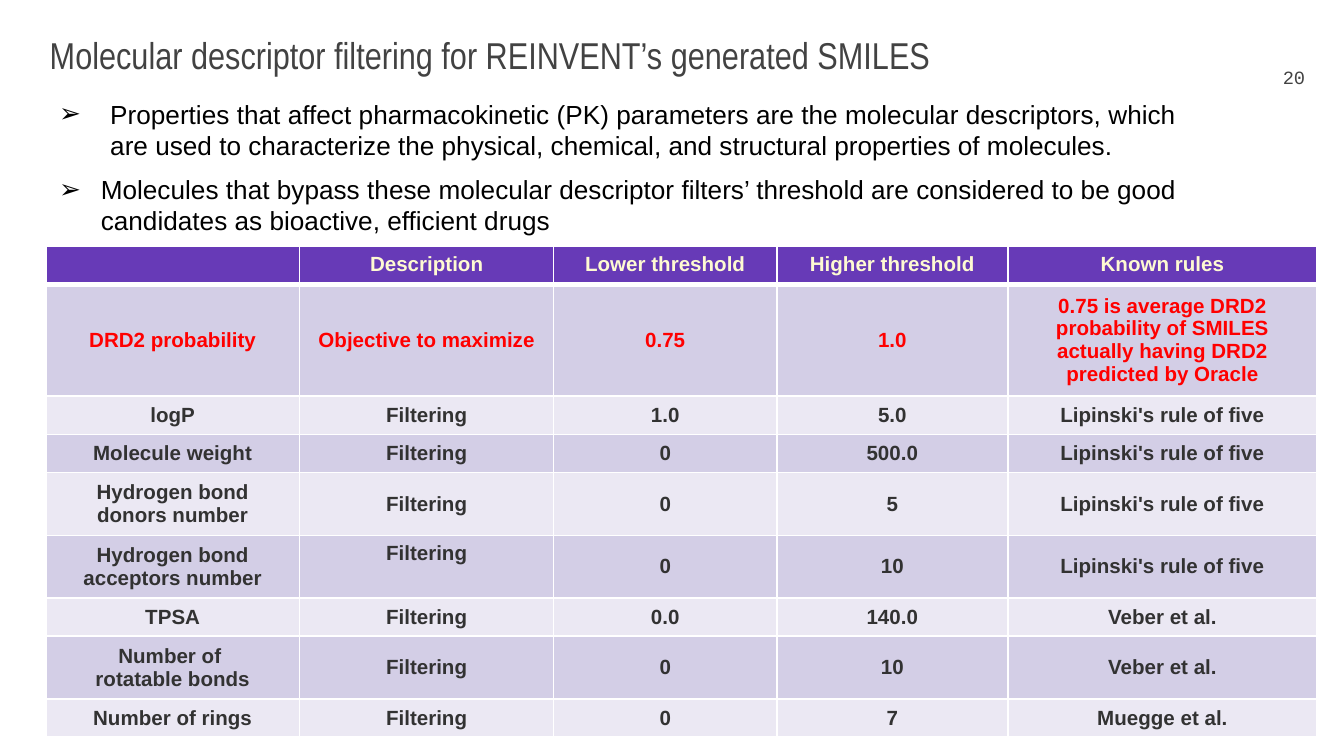
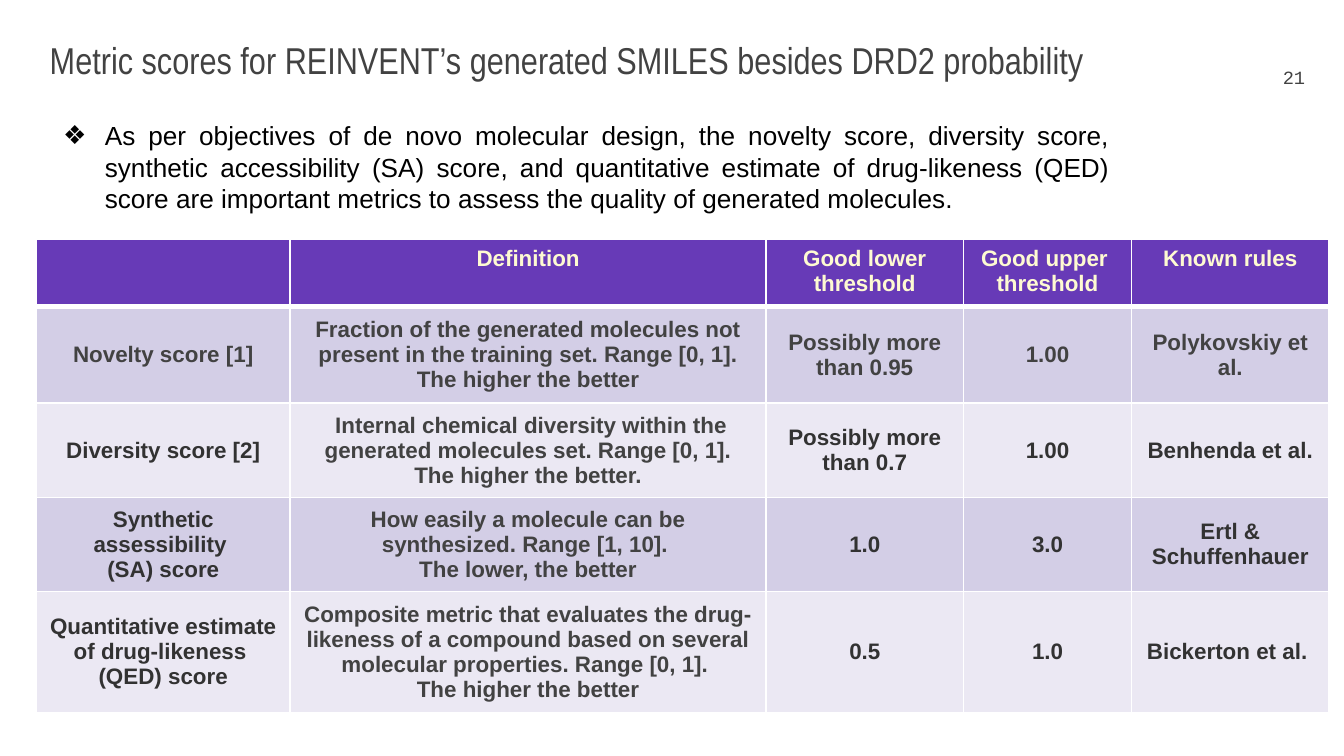
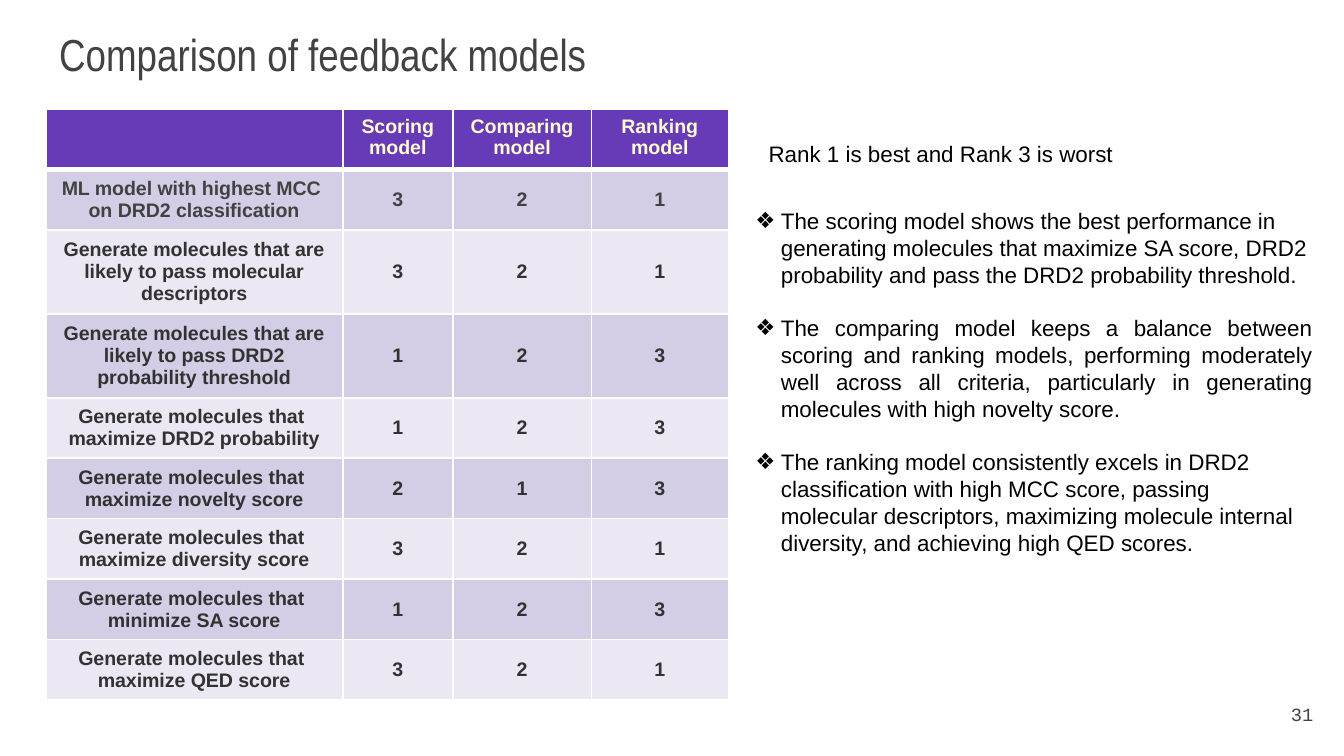
from lxml.etree import SubElement
from pptx import Presentation
from pptx.dml.color import RGBColor
from pptx.enum.text import MSO_ANCHOR, MSO_AUTO_SIZE, PP_ALIGN
from pptx.oxml.ns import qn
from pptx.util import Inches, Pt

PURPLE = RGBColor(0x67, 0x3A, 0xB7)
LAVENDER = RGBColor(0xD3, 0xCE, 0xE6)
PALE_LAVENDER = RGBColor(0xEB, 0xE8, 0xF3)
CREAM = RGBColor(0xFE, 0xFA, 0xD2)
WHITE = RGBColor(0xFF, 0xFF, 0xFF)
BLACK = RGBColor(0, 0, 0)
RED = RGBColor(0xFF, 0, 0)
GRAY = RGBColor(0x42, 0x42, 0x42)
DARK_GRAY = RGBColor(0x32, 0x32, 0x32)

BODY_FONT, TITLE_FONT, NUMBER_FONT = "Arial", "Arial Narrow", "Courier New"
TITLE_AND_CONTENT, TWO_CONTENT = 1, 3
ARROW, DIAMOND = "➢", "❖"


def place(shape, box):
    shape.left, shape.top, shape.width, shape.height = (Inches(n) for n in box)


def add_span(para, text, size, color, font=BODY_FONT, bold=False):
    span = para.add_run()
    span.text = text
    span.font.name = font
    span.font.size = Pt(size)
    span.font.bold = bold
    span.font.color.rgb = color


def set_frame(frame, anchor, margin_y, auto_size):
    frame.word_wrap = True
    frame.auto_size = auto_size
    frame.vertical_anchor = anchor
    frame.margin_left = frame.margin_right = Inches(0.1)
    frame.margin_top = frame.margin_bottom = Inches(margin_y)


def add_page(deck, layout, title, title_box, title_size, number, number_box):
    """Add a slide with its title and page number."""
    page = deck.slides.add_slide(deck.slide_layouts[layout])
    heading = page.shapes.title
    place(heading, title_box)
    set_frame(heading.text_frame, MSO_ANCHOR.BOTTOM, 0.1, MSO_AUTO_SIZE.NONE)
    para = heading.text_frame.paragraphs[0]
    para.alignment = PP_ALIGN.LEFT
    add_span(para, title, title_size, GRAY, TITLE_FONT)

    folio = page.shapes.add_textbox(*(Inches(n) for n in number_box))
    set_frame(folio.text_frame, MSO_ANCHOR.MIDDLE, 0.1, MSO_AUTO_SIZE.NONE)
    para = folio.text_frame.paragraphs[0]
    para.alignment = PP_ALIGN.RIGHT
    add_span(para, number, 10, GRAY, NUMBER_FONT)
    return page


def set_bullet(para, mark, indent):
    properties = para._p.get_or_add_pPr()
    properties.set("marL", str(Inches(indent)))
    properties.set("indent", str(-Inches(indent)))
    color = SubElement(properties, qn("a:buClr"))
    SubElement(color, qn("a:srgbClr"), val=str(BLACK))
    SubElement(properties, qn("a:buFont"), typeface=BODY_FONT)
    SubElement(properties, qn("a:buChar"), char=mark)


def fill_list(holder, box, mark, indent, size, items, gap=0):
    """Fill a body placeholder with (text, alignment) items."""
    place(holder, box)
    frame = holder.text_frame
    set_frame(frame, MSO_ANCHOR.TOP, 0.05, MSO_AUTO_SIZE.SHAPE_TO_FIT_TEXT)
    for index, (text, alignment) in enumerate(items):
        para = frame.add_paragraph() if index else frame.paragraphs[0]
        set_bullet(para, mark, indent)
        para.alignment = alignment
        para.space_before = Pt(gap if index else 0)
        add_span(para, text, size, BLACK)


def set_borders(cell, top, bottom):
    properties = cell._tc.get_or_add_tcPr()
    for side, width in (("L", 1), ("R", 1), ("T", top), ("B", bottom)):
        line = SubElement(properties, qn(f"a:ln{side}"), w=str(Pt(width)))
        fill = SubElement(line, qn("a:solidFill"))
        SubElement(fill, qn("a:srgbClr"), val=str(WHITE))


def fill_cell(cell, text, size, color, fill, anchor):
    cell.fill.solid()
    cell.fill.fore_color.rgb = fill
    cell.vertical_anchor = anchor
    frame = cell.text_frame
    for index, line in enumerate(text.split("\n")):
        para = frame.add_paragraph() if index else frame.paragraphs[0]
        para.alignment = PP_ALIGN.CENTER
        if line:
            add_span(para, line, size, color, bold=True)
        else:
            para.font.size = Pt(size)


def add_grid(page, box, widths, heights, rows, size, first_color, gray_columns=()):
    """Add a banded table whose rows grow from the least heights given.

    first_color is for the text of the first body row.
    """
    holder = page.shapes.add_table(len(rows), len(widths), *(Inches(n) for n in box))
    grid = holder.table
    for column, width in zip(grid.columns, widths):
        column.width = Inches(width)
    for r, (row, height) in enumerate(zip(rows, heights)):
        grid.rows[r].height = Inches(height)
        for c, text in enumerate(row):
            cell = grid.cell(r, c)
            set_borders(cell, 3 if r == 1 else 1, 3 if r == 0 else 1)
            if r == 0:
                fill_cell(cell, text, size, CREAM, PURPLE, MSO_ANCHOR.TOP)
                continue
            color = first_color if r == 1 else GRAY if c in gray_columns else DARK_GRAY
            band = LAVENDER if r % 2 else PALE_LAVENDER
            fill_cell(cell, text, size, color, band, MSO_ANCHOR.MIDDLE)
    place(holder, box)
    return grid


def add_descriptor_page(deck):
    page = add_page(deck, TWO_CONTENT,
                    "Molecular descriptor filtering for REINVENT’s generated SMILES",
                    (0.27, 0.24, 9.32, 0.43), 20, "20", (9.21, 0.36, 0.6, 0.43))
    lipinski, veber = "Lipinski's rule of five", "Veber et al."
    filters = [
        ("logP", "1.0", "5.0", lipinski),
        ("Molecule weight", "0", "500.0", lipinski),
        ("Hydrogen bond donors number", "0", "5", lipinski),
        ("Hydrogen bond acceptors number", "0", "10", lipinski),
        ("TPSA", "0.0", "140.0", veber),
        ("Number of \nrotatable bonds", "0", "10", veber),
        ("Number of rings", "0", "7", "Muegge et al."),
    ]
    rows = [
        ("", "Description", "Lower threshold", "Higher threshold", "Known rules"),
        ("DRD2 probability", "Objective to maximize", "0.75", "1.0",
         "0.75 is average DRD2 probability of SMILES actually having DRD2 predicted by Oracle"),
    ] + [(name, "Filtering", low, high, rule) for name, low, high, rule in filters]
    one_line, two_lines = 0.2, 0.34
    heights = [one_line, 0.59, one_line, one_line, two_lines, two_lines,
               one_line, two_lines, one_line]
    grid = add_grid(page, (0.34, 1.83, 9.47, 3.65), [1.89, 1.89, 1.66, 1.72, 2.3],
                    heights, rows, 11, RED)
    grid.cell(5, 1).vertical_anchor = MSO_ANCHOR.TOP

    fill_list(page.placeholders[1], (0.34, 0.68, 8.52, 0.57), ARROW, 0.38, 14, [
        ("Properties that affect pharmacokinetic (PK) parameters are the molecular descriptors, "
         "which are used to characterize the physical, chemical, and structural properties of "
         "molecules.", PP_ALIGN.JUSTIFY)])
    fill_list(page.placeholders[2], (0.34, 1.24, 8.52, 0.57), ARROW, 0.31, 14, [
        ("Molecules that bypass these molecular descriptor filters’ threshold are considered to "
         "be good candidates as bioactive, efficient drugs", PP_ALIGN.JUSTIFY)])


def add_metric_page(deck):
    page = add_page(deck, TITLE_AND_CONTENT,
                    "Metric scores for REINVENT’s generated SMILES besides DRD2 probability",
                    (0.27, 0.28, 9.32, 0.43), 20, "21", (9.21, 0.36, 0.6, 0.43))
    rows = [
        ("", "Definition", "Good lower threshold", "Good upper \nthreshold", "Known rules"),
        ("Novelty score [1]",
         "Fraction of the generated molecules not present in the training set. Range [0, 1]. "
         "The higher the better",
         "Possibly more than 0.95", "1.00", "Polykovskiy et al."),
        ("Diversity score [2]",
         " Internal chemical diversity within the generated molecules set. Range [0, 1]. "
         "The higher the better.",
         "Possibly more than 0.7", "1.00", "Benhenda et al."),
        ("Synthetic assessibility \n(SA) score",
         "How easily a molecule can be synthesized. Range [1, 10]. \nThe lower, the better",
         "1.0", "3.0", "Ertl & Schuffenhauer"),
        ("Quantitative estimate of drug-likeness \n(QED) score",
         "Composite metric that evaluates the drug-likeness of a compound based on several "
         "molecular properties. Range [0, 1]. \nThe higher the better",
         "0.5", "1.0", "Bickerton et al. "),
    ]
    add_grid(page, (0.27, 1.78, 9.62, 3.52), [1.89, 3.54, 1.47, 1.25, 1.47],
             [0.31, 0.72, 0.31, 0.31, 0.51], rows, 12, GRAY, gray_columns=(1,))
    fill_list(page.placeholders[1], (0.37, 0.84, 7.99, 0.81), DIAMOND, 0.31, 14, [
        ("As per objectives of de novo molecular design, the novelty score, diversity score, "
         "synthetic accessibility (SA) score, and quantitative estimate of drug-likeness (QED) "
         "score are important metrics to assess the quality of generated molecules.",
         PP_ALIGN.JUSTIFY)])


def add_comparison_page(deck):
    page = add_page(deck, TITLE_AND_CONTENT, "Comparison of feedback models",
                    (0.34, 0.09, 9.32, 0.61), 24, "31", (9.27, 5.1, 0.6, 0.43))
    generate = "Generate molecules that "
    rows = [
        ("", "Scoring model", "Comparing model", "Ranking model"),
        ("ML model with highest MCC \non DRD2 classification", "3", "2", "1"),
        (generate + "are likely to pass molecular descriptors", "3", "2", "1"),
        (generate + "are likely to pass DRD2 probability threshold", "1", "2", "3"),
        (generate + "\nmaximize DRD2 probability", "1", "2", "3"),
        (generate + "\nmaximize novelty score", "2", "1", "3"),
        (generate + "\nmaximize diversity score", "3", "2", "1"),
        (generate + "\nminimize SA score", "1", "2", "3"),
        (generate + "\nmaximize QED score", "3", "2", "1"),
    ]
    heights = [0, 0.18] + [0.26] * 2 + [0.18] * 5
    add_grid(page, (0.34, 0.81, 5.08, 4.4), [2.21, 0.82, 1.03, 1.02],
             heights, rows, 10.5, GRAY)

    fill_list(page.placeholders[1], (5.52, 1.49, 4.35, 2.73), DIAMOND, 0.19, 12, [
        ("The scoring model shows the best performance in generating molecules that maximize SA "
         "score, DRD2 probability and pass the DRD2 probability threshold.", PP_ALIGN.LEFT),
        ("The comparing model keeps a balance between scoring and ranking models, performing "
         "moderately well across all criteria, particularly in generating molecules with high "
         "novelty score. ", PP_ALIGN.JUSTIFY),
        ("The ranking model consistently excels in DRD2 classification with high MCC score, "
         "passing molecular descriptors, maximizing molecule internal diversity, and achieving "
         "high QED scores.", PP_ALIGN.LEFT),
    ], gap=14.3)

    legend = page.shapes.add_textbox(Inches(5.62), Inches(0.99), Inches(3.22), Inches(0.3))
    set_frame(legend.text_frame, MSO_ANCHOR.TOP, 0.05, MSO_AUTO_SIZE.SHAPE_TO_FIT_TEXT)
    add_span(legend.text_frame.paragraphs[0], "Rank 1 is best and Rank 3 is worst", 12, BLACK)


def main():
    deck = Presentation()
    deck.slide_width = Inches(10)
    deck.slide_height = deck.slide_width * 9 // 16
    add_descriptor_page(deck)
    add_metric_page(deck)
    add_comparison_page(deck)
    deck.save("out.pptx")


if __name__ == "__main__":
    main()
